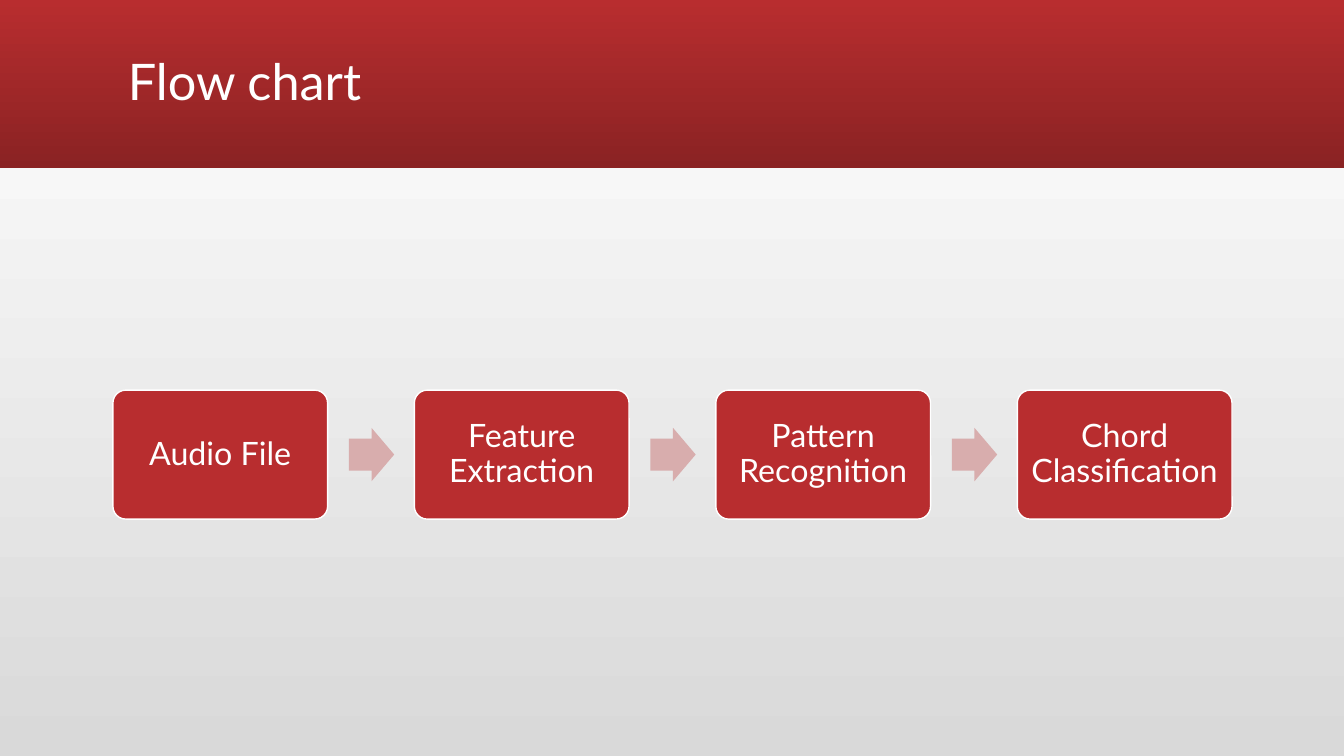
from pptx import Presentation
from pptx import util as u
from pptx.dml.color import RGBColor
from pptx.enum import shapes, text

RED = RGBColor(0xB8, 0x2D, 0x2F)
DARK_RED = RGBColor(0x8A, 0x22, 0x23)
PINK = RGBColor(0xD8, 0xAD, 0xAD)
WHITE = RGBColor(0xFF, 0xFF, 0xFF)
GREY = RGBColor(0xD9, 0xD9, 0xD9)

FONT = "Lato"
STEPS = ["Audio File", "Feature Extraction", "Pattern Recognition", "Chord Classification"]

# Flow grid, in inches: one column per step, all on one row
FLOW_LEFT, COLUMN_PITCH, ROW_MIDDLE = 1.12, 2.99, 4.51
STEP_WIDTH, STEP_HEIGHT = 2.13, 1.28
ARROW_OFFSET, ARROW_WIDTH, ARROW_HEIGHT = 2.34, 0.45, 0.53


def fill_gradient(fill, top_color, bottom_color):
    """Run a linear gradient from top to bottom."""
    fill.gradient()
    fill.gradient_angle = 270
    for stop, color in zip(fill.gradient_stops, (top_color, bottom_color)):
        stop.color.rgb = color


def add_shape(slide, kind, left, top, width, height):
    shape = slide.shapes.add_shape(kind, *map(u.Inches, (left, top, width, height)))
    shape.shadow.inherit = False
    shape.line.fill.background()
    return shape


def write(shape, wording, size, alignment, inset):
    frame = shape.text_frame
    frame.text = wording
    frame.word_wrap = True
    frame.vertical_anchor = text.MSO_ANCHOR.MIDDLE
    frame.margin_left = frame.margin_right = u.Inches(inset)
    paragraph = frame.paragraphs[0]
    paragraph.alignment = alignment
    paragraph.line_spacing = 0.9
    font = paragraph.runs[0].font
    font.name, font.size = FONT, u.Pt(size)
    font.color.rgb = WHITE


def add_step(slide, column, wording):
    step = add_shape(slide, shapes.MSO_SHAPE.ROUNDED_RECTANGLE,
                     FLOW_LEFT + column * COLUMN_PITCH, ROW_MIDDLE - STEP_HEIGHT / 2,
                     STEP_WIDTH, STEP_HEIGHT)
    step.adjustments[0] = 0.1
    step.fill.solid()
    step.fill.fore_color.rgb = RED
    step.line.color.rgb = WHITE
    step.line.width = u.Pt(1)
    write(step, wording, 23, text.PP_ALIGN.CENTER, 0.09)


def add_arrow(slide, column):
    arrow = add_shape(slide, shapes.MSO_SHAPE.RIGHT_ARROW,
                      FLOW_LEFT + column * COLUMN_PITCH + ARROW_OFFSET,
                      ROW_MIDDLE - ARROW_HEIGHT / 2, ARROW_WIDTH, ARROW_HEIGHT)
    arrow.adjustments[0] = 0.6
    arrow.adjustments[1] = 0.5
    arrow.fill.solid()
    arrow.fill.fore_color.rgb = PINK


def main():
    presentation = Presentation()
    presentation.slide_width = u.Inches(13.33)
    presentation.slide_height = u.Inches(7.5)
    slide = presentation.slides.add_slide(presentation.slide_layouts[6])
    fill_gradient(slide.background.fill, WHITE, GREY)

    # Title band
    band = add_shape(slide, shapes.MSO_SHAPE.RECTANGLE, 0, 0, 13.33, 1.67)
    fill_gradient(band.fill, RED, DARK_RED)
    title = slide.shapes.add_textbox(*map(u.Inches, (1.17, 0.11, 11, 1.45)))
    write(title, "Flow chart", 36, text.PP_ALIGN.LEFT, 0.1)

    # Steps, with an arrow between neighbours
    for column, wording in enumerate(STEPS):
        if column:
            add_arrow(slide, column - 1)
        add_step(slide, column, wording)

    presentation.save("out.pptx")


if __name__ == "__main__":
    main()
